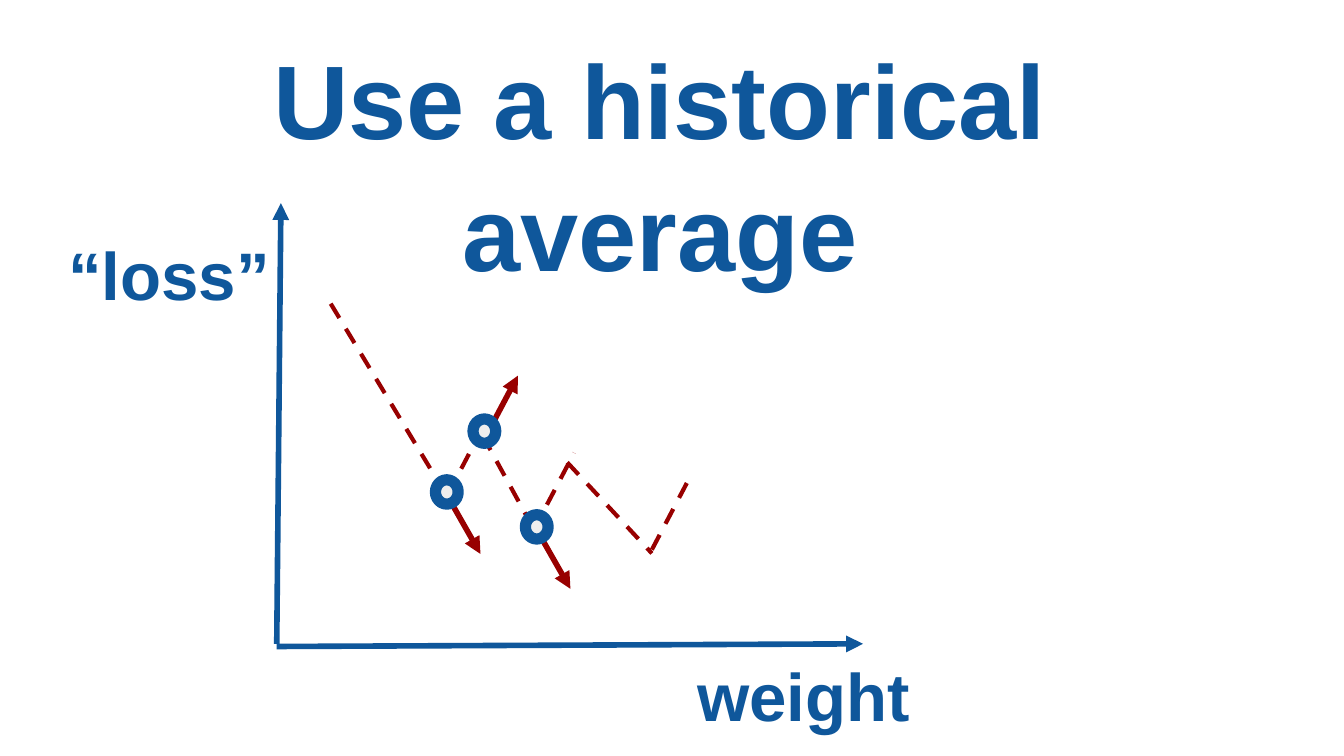
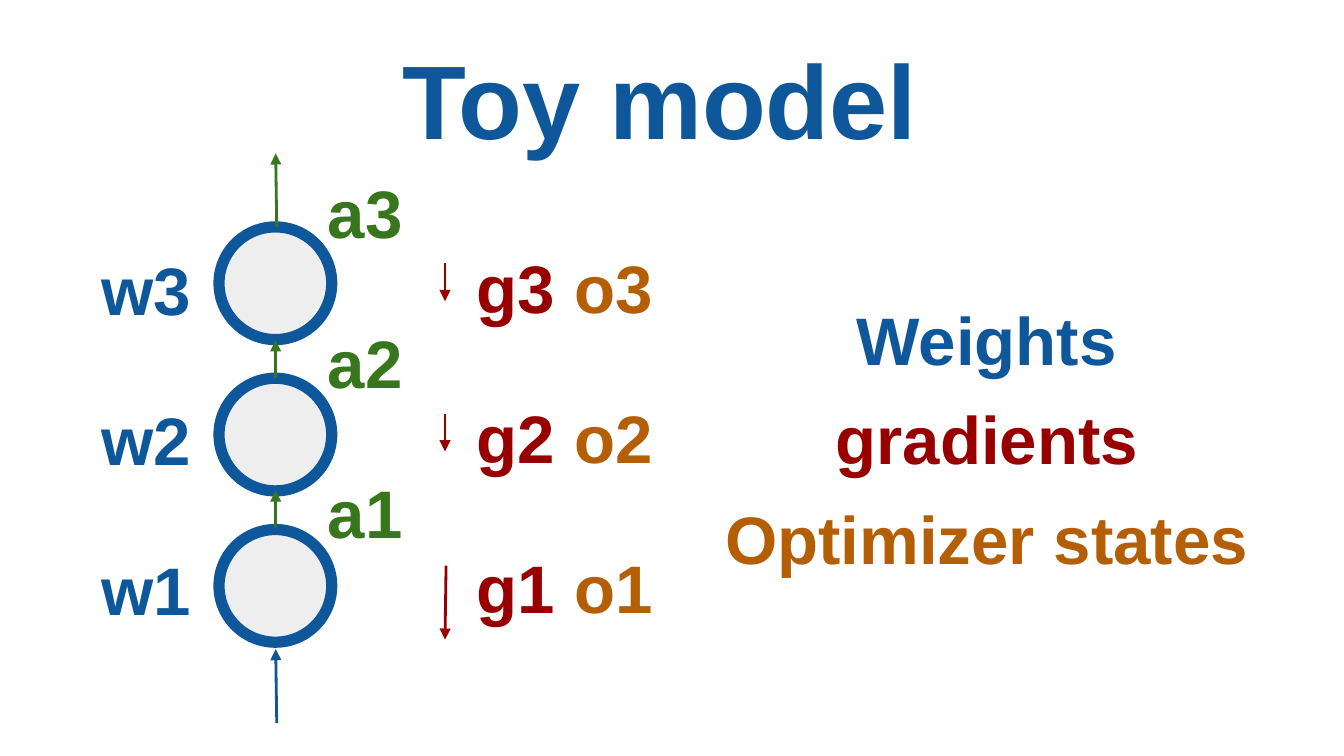
"""Build two slides: a loss curve with historical gradients, and a toy model."""
from dataclasses import dataclass

from lxml import etree
from pptx import Presentation
from pptx.dml.color import RGBColor
from pptx.enum.dml import MSO_LINE
from pptx.enum.shapes import MSO_CONNECTOR, MSO_SHAPE
from pptx.enum.text import MSO_ANCHOR, MSO_AUTO_SIZE, PP_ALIGN
from pptx.oxml.ns import qn
from pptx.presentation import Presentation as Deck
from pptx.slide import Slide
from pptx.text.text import TextFrame
from pptx.util import Cm, Pt

STRAIGHT = MSO_CONNECTOR.STRAIGHT
ELLIPSE = MSO_SHAPE.OVAL
DASH = MSO_LINE.DASH
CENTER = PP_ALIGN.CENTER
TOP = MSO_ANCHOR.TOP
FIXED_SIZE = MSO_AUTO_SIZE.NONE
GROW = MSO_AUTO_SIZE.SHAPE_TO_FIT_TEXT

BLUE = RGBColor(0x0F, 0x57, 0x9B)
RED = RGBColor(0x98, 0x00, 0x00)
GREEN = RGBColor(0x38, 0x76, 0x1E)
ORANGE = RGBColor(0xB4, 0x5F, 0x06)
GRAY = RGBColor(0xEE, 0xEE, 0xEE)
WHITE = RGBColor(0xFF, 0xFF, 0xFF)

FONT = "Arial"
TITLE_SIZE = 56
LABEL_SIZE = 36
LINE_SPACING = 1.05
INSET = 0.25
PARAGRAPH_GAP = 8
TITLE_LAYOUT = 5
LABEL_WIDTH, LABEL_HEIGHT = 8.33, 2.06

Point = tuple[float, float]


@dataclass(frozen=True)
class TextLine:
    """One coloured paragraph."""

    text: str
    color: RGBColor = BLUE


@dataclass(frozen=True)
class Line:
    """A straight line in centimetres, with an arrowhead unless dashed."""

    start: Point
    end: Point
    color: RGBColor
    weight: float
    dashed: bool = False


@dataclass(frozen=True)
class LabelColumn:
    """Numbered labels stacked from layer three down to layer one."""

    letter: str
    left: float
    top: float
    color: RGBColor


@dataclass(frozen=True)
class GradientStep:
    """A visited weight and the vector of its gradient."""

    corner: Point
    vector: Point


AXES = (
    Line((5.23, 12.17), (5.31, 3.84), BLUE, 3),
    Line((5.23, 12.22), (16.31, 12.17), BLUE, 3),
)
DESCENT = tuple(
    Line(start, end, RED, 2.25, dashed=True)
    for start, end in (
        ((6.25, 5.74), (8.43, 9.35)),
        ((8.46, 9.35), (9.22, 7.9)),
        ((10.08, 10.03), (10.85, 8.56)),
        ((12.32, 10.39), (13.08, 8.94)),
        ((9.12, 8.23), (10.13, 10.08)),
        ((10.72, 8.74), (12.32, 10.46)),
    )
)
STEPS = (
    GradientStep((9.93, 9.73), (0.61, 1.07)),
    GradientStep((8.94, 7.92), (0.61, -1.15)),
    GradientStep((8.23, 9.07), (0.61, 1.07)),
)
DOT_SIZE = (0.43, 0.46)
ARROW_OFFSET = (0.24, 0.33)

LAYER_COUNT = 3
LABEL_PITCH = 2.83
NEURON_PITCH = 2.86
NEURON_LEFT, NEURON_TOP, NEURON_SIZE = 4.14, 4.29, 2.13
COLUMNS = (
    LabelColumn("w", -1.4, 4.37, BLUE),
    LabelColumn("a", 2.74, 2.92, GREEN),
    LabelColumn("g", 5.59, 4.34, RED),
    LabelColumn("o", 7.44, 4.34, ORANGE),
)
LEGEND = (
    TextLine("Weights"),
    TextLine("gradients", RED),
    TextLine("Optimizer states", ORANGE),
)
FLOW = (
    Line((5.23, 13.67), (5.21, 12.27), BLUE, 1.5),
    Line((5.21, 9.98), (5.21, 9.27), GREEN, 1.5),
    Line((5.21, 7.14), (5.21, 6.43), GREEN, 1.5),
    Line((5.23, 4.29), (5.21, 2.9), GREEN, 1.5),
    Line((8.41, 4.98), (8.41, 5.69), RED, 1.5),
    Line((8.41, 7.82), (8.41, 8.53), RED, 1.5),
    Line((8.43, 10.69), (8.41, 12.09), RED, 1.5),
)


def write_lines(frame: TextFrame, lines: tuple[TextLine, ...], size: float) -> None:
    """Fill a frame with bold centred paragraphs."""
    frame.word_wrap = True
    frame.vertical_anchor = TOP
    frame.margin_left = frame.margin_right = Cm(INSET)
    frame.margin_top = frame.margin_bottom = Cm(INSET)
    for index, line in enumerate(lines):
        paragraph = frame.add_paragraph() if index else frame.paragraphs[0]
        paragraph.text = line.text
        paragraph.alignment = CENTER
        paragraph.line_spacing = LINE_SPACING
        paragraph.space_before = Pt(PARAGRAPH_GAP if index else 0)
        font = paragraph.font
        font.name = FONT
        font.size = Pt(size)
        font.bold = True
        font.color.rgb = line.color


def add_titled_slide(presentation: Deck, title: str) -> Slide:
    """Add a white slide with the shared title style."""
    slide = presentation.slides.add_slide(presentation.slide_layouts[TITLE_LAYOUT])
    slide.background.fill.solid()
    slide.background.fill.fore_color.rgb = WHITE
    shape = slide.shapes.title
    shape.left, shape.top = Cm(1.52), Cm(0.3)
    shape.width, shape.height = Cm(21.9), Cm(2.13)
    write_lines(shape.text_frame, (TextLine(title),), TITLE_SIZE)
    shape.text_frame.auto_size = FIXED_SIZE
    return slide


def add_text(
    slide: Slide,
    corner: Point,
    *lines: TextLine,
    width: float = LABEL_WIDTH,
    height: float = LABEL_HEIGHT,
) -> None:
    """Add a growing text box."""
    box = slide.shapes.add_textbox(*map(Cm, (*corner, width, height)))
    write_lines(box.text_frame, lines, LABEL_SIZE)
    box.text_frame.paragraphs[-1].space_after = Pt(PARAGRAPH_GAP)
    box.text_frame.auto_size = GROW


def add_line(slide: Slide, line: Line) -> None:
    """Draw a dashed line or an arrow."""
    connector = slide.shapes.add_connector(
        STRAIGHT, *map(Cm, (*line.start, *line.end))
    )
    connector.line.color.rgb = line.color
    connector.line.width = Pt(line.weight)
    if line.dashed:
        connector.line.dash_style = DASH
    else:
        outline = connector.line._get_or_add_ln()
        etree.SubElement(outline, qn("a:tailEnd"), type="triangle")
    etree.SubElement(connector._element.spPr, qn("a:effectLst"))


def add_ring(slide: Slide, corner: Point, size: Point) -> None:
    """Draw a grey ellipse with a thick blue outline."""
    ring = slide.shapes.add_shape(ELLIPSE, *map(Cm, (*corner, *size)))
    ring.shadow.inherit = False
    ring.fill.solid()
    ring.fill.fore_color.rgb = GRAY
    ring.line.color.rgb = BLUE
    ring.line.width = Pt(6)


def shift(point: Point, offset: Point) -> Point:
    """Move a point by an offset."""
    return point[0] + offset[0], point[1] + offset[1]


def build_average_slide(presentation: Deck) -> None:
    """Draw the loss curve with three remembered gradients."""
    slide = add_titled_slide(presentation, "Use a historical average")
    add_text(slide, (11.02, 12.04), TextLine("weight"))
    add_text(slide, (-0.97, 4.09), TextLine("“loss”"))
    for line in AXES + DESCENT:
        add_line(slide, line)
    for step in STEPS:
        start = shift(step.corner, ARROW_OFFSET)
        add_line(slide, Line(start, shift(start, step.vector), RED, 3))
        add_ring(slide, step.corner, DOT_SIZE)


def build_model_slide(presentation: Deck) -> None:
    """Draw the three-layer model and its legend."""
    slide = add_titled_slide(presentation, "Toy model")
    for row in range(LAYER_COUNT):
        for column in COLUMNS:
            label = TextLine(f"{column.letter}{LAYER_COUNT - row}", column.color)
            add_text(slide, (column.left, column.top + row * LABEL_PITCH), label)
    for row in range(LAYER_COUNT):
        corner = (NEURON_LEFT, NEURON_TOP + row * NEURON_PITCH)
        add_ring(slide, corner, (NEURON_SIZE, NEURON_SIZE))
    add_text(slide, (10.85, 5.31), *LEGEND, width=15.6, height=5.69)
    for line in FLOW:
        add_line(slide, line)


def main() -> None:
    """Build and save the presentation."""
    presentation = Presentation()
    presentation.slide_width, presentation.slide_height = Cm(25.4), Cm(14.29)
    build_average_slide(presentation)
    build_model_slide(presentation)
    presentation.save("out.pptx")


if __name__ == "__main__":
    main()
